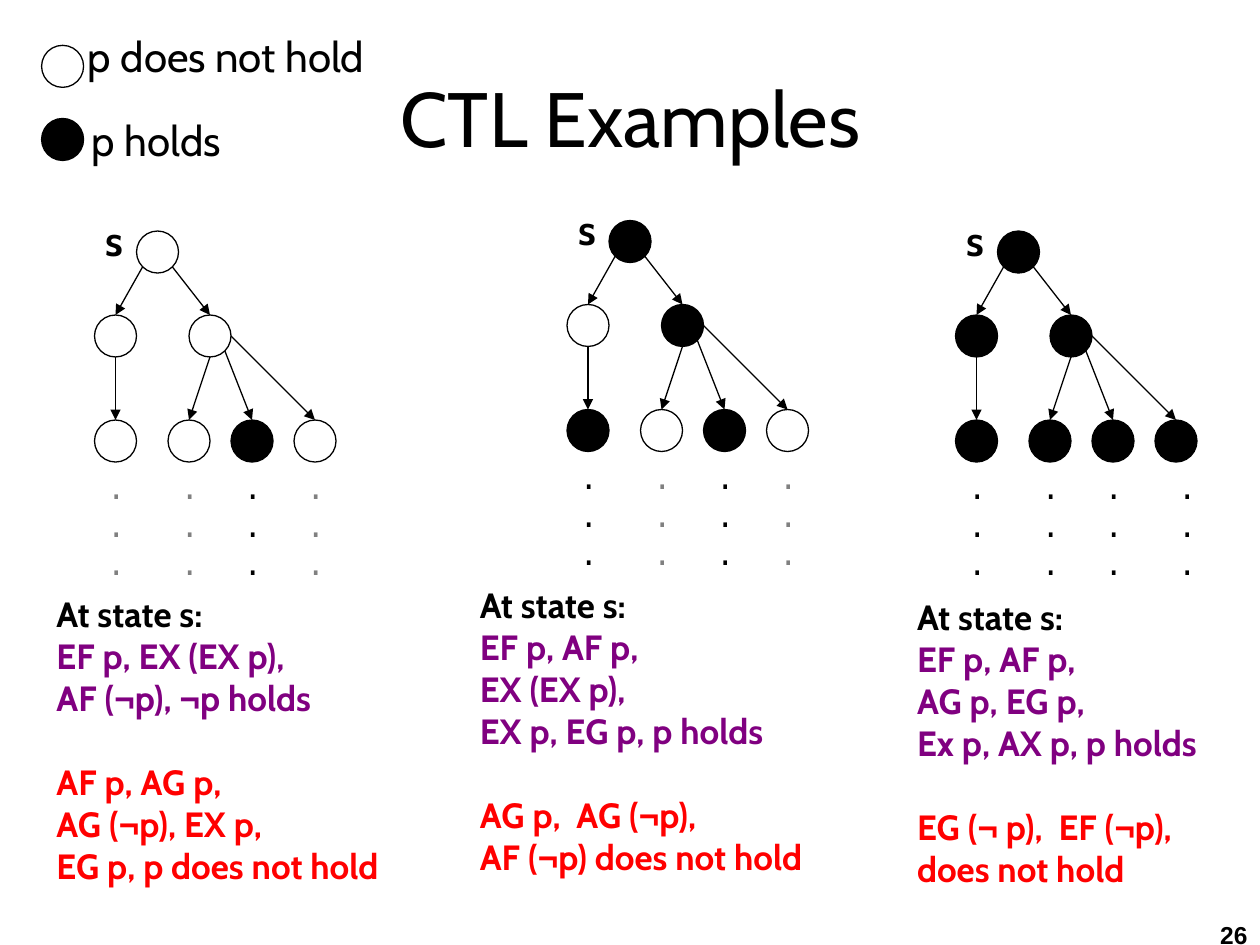
from dataclasses import dataclass
from math import cos, radians, sin

from lxml import etree
from pptx import Presentation
from pptx.dml.color import RGBColor
from pptx.enum.shapes import MSO_CONNECTOR, MSO_SHAPE
from pptx.enum.text import MSO_ANCHOR, MSO_AUTO_SIZE, PP_ALIGN
from pptx.oxml.ns import qn
from pptx.util import Inches, Pt

BLACK = RGBColor(0x00, 0x00, 0x00)
GRAY = RGBColor(0x80, 0x80, 0x80)
PURPLE = RGBColor(0x80, 0x00, 0x80)
RED = RGBColor(0xFF, 0x00, 0x00)
OVAL = MSO_SHAPE.OVAL
STRAIGHT = MSO_CONNECTOR.STRAIGHT
MIDDLE = MSO_ANCHOR.MIDDLE
FIT, NO_FIT = MSO_AUTO_SIZE.SHAPE_TO_FIT_TEXT, MSO_AUTO_SIZE.NONE
LEFT, CENTER, RIGHT = PP_ALIGN.LEFT, PP_ALIGN.CENTER, PP_ALIGN.RIGHT

GRID = 1 / 12  # inches per grid step
NODE = 4       # node diameter in grid steps
TOP = 0        # connection site of a node

# Node places in grid steps from the tree's corner: root, two children, four leaves
NODES = ((4, 0), (0, 8), (9, 8), (0, 18), (7, 18), (13, 18), (19, 18))
# Parent, child, and the angle at which the arrow leaves the parent (clockwise from right)
EDGES = ((0, 1, 135), (0, 2, 45), (1, 3, 90), (2, 4, 90), (2, 5, 45), (2, 6, 0))
FIRST_LEAF = 3


@dataclass
class Style:
    size: float
    color: RGBColor = BLACK
    font: str = "Cabin"
    bold: bool = False
    align: PP_ALIGN = LEFT
    line_spacing: float | None = None


@dataclass
class Tree:
    col: int
    row: int
    holds: tuple[int, ...]
    text_box: tuple[float, float, float, float]
    true_lines: tuple[str, ...]
    false_lines: tuple[str, ...]
    last_dots_shift: int = 0


TREES = (
    Tree(9, 22, (5,), (0.35, 4.65, 3.16, 2.76),
         ("EF p, EX (EX p),", "AF (¬p), ¬p holds"),
         ("AF p, AG p,", "AG (¬p), EX p,", "EG p, p does not hold")),
    Tree(54, 21, (0, 2, 3, 5), (3.71, 4.58, 3.19, 2.76),
         ("EF p, AF p,", "EX (EX p),", "EX p, EG p, p holds"),
         ("AG p,  AG (¬p),", "AF (¬p) does not hold")),
    Tree(91, 22, tuple(range(len(NODES))), (7.18, 4.68, 2.7, 2.76),
         ("EF p, AF p,", "AG p, EG p,", "Ex p, AX p, p holds"),
         ("EG (¬ p),  EF (¬p),", "does not hold"), 1),
)


def add_paragraph(tf, text: str, style: Style, space_before: float = 0) -> None:
    """Append a line to the frame; the negation sign is set in Arial."""
    p = tf.paragraphs[0]
    if p.runs:
        p = tf.add_paragraph()
    p.alignment = style.align
    p.space_before = Pt(space_before)
    if style.line_spacing:
        p.line_spacing = Pt(style.line_spacing)
    for part in text.replace("¬", "\n¬\n").split("\n"):
        if part:
            r = p.add_run()
            r.text = part
            r.font.name = "Arial" if part == "¬" else style.font
            r.font.size = Pt(style.size)
            r.font.bold = style.bold
            r.font.color.rgb = style.color


def add_text(s, box: tuple[float, float, float, float], lines: tuple[str, ...],
             style: Style, wrap: bool = False):
    tf = s.shapes.add_textbox(*map(Inches, box)).text_frame
    tf.word_wrap = wrap
    tf.auto_size = NO_FIT if wrap else FIT
    for line in lines:
        add_paragraph(tf, line, style)
    return tf


def add_node(s, x: float, y: float, filled: bool):
    size = Inches(NODE * GRID)
    sp = s.shapes.add_shape(OVAL, Inches(x), Inches(y), size, size)
    sp.shadow.inherit = False
    if filled:
        sp.fill.solid()
        sp.fill.fore_color.rgb = BLACK
    else:
        sp.fill.background()
    sp.line.color.rgb = BLACK
    sp.line.width = Pt(0.75)
    return sp


def add_arrow(s, parent, child, angle: float) -> None:
    radius = parent.width / 2
    x = int(parent.left + radius * (1 + cos(radians(angle))))
    y = int(parent.top + radius * (1 + sin(radians(angle))))
    line = s.shapes.add_connector(STRAIGHT, x, y, x, y)
    line.end_connect(child, TOP)
    line.line.color.rgb = BLACK
    line.line.width = Pt(0.75)
    etree.SubElement(line.line._get_or_add_ln(), qn("a:tailEnd"), type="triangle")
    etree.SubElement(line._element.spPr, qn("a:effectLst"))


def add_tree(s, tree: Tree) -> None:
    left, top = tree.col * GRID, tree.row * GRID
    nodes = [add_node(s, left + col * GRID, top + row * GRID, i in tree.holds)
             for i, (col, row) in enumerate(NODES)]
    for parent, child, angle in EDGES:
        add_arrow(s, nodes[parent], nodes[child], angle)

    last = len(NODES) - 1
    for i in range(FIRST_LEAF, len(NODES)):
        col, row = NODES[i]
        shift = tree.last_dots_shift if i == last else 0
        color = BLACK if i in tree.holds else GRAY
        add_text(s, (left + (col + shift) * GRID, top + (row + NODE) * GRID, 0.35, 0.95),
                 (".",) * 3, Style(18, color, "Courier New", line_spacing=21.7))

    add_text(s, (left - 0.01, top - 0.18, 0.36, 0.56), ("s",), Style(24, bold=True))
    tf = add_text(s, tree.text_box, ("At state s:",), Style(20, bold=True))
    for line in tree.true_lines:
        add_paragraph(tf, line, Style(20, PURPLE, bold=True))
    for i, line in enumerate(tree.false_lines):
        add_paragraph(tf, line, Style(20, RED, bold=True), 0 if i else 24)


def main() -> None:
    prs = Presentation()
    prs.slide_width, prs.slide_height = Inches(10), Inches(7.5)
    s = prs.slides.add_slide(prs.slide_layouts[6])

    title = add_text(s, (0.17, 0.3, 9.67, 1.25), ("CTL Examples",),
                     Style(44, align=CENTER), wrap=True)
    title.vertical_anchor = MIDDLE

    add_node(s, 0.33, 0.36, False)
    add_text(s, (0.6, 0.19, 2.64, 0.56), ("p does not hold",), Style(24))
    add_node(s, 0.33, 0.94, True)
    add_text(s, (0.63, 0.86, 1.35, 0.56), ("p holds",), Style(24))

    for tree in TREES:
        add_tree(s, tree)

    add_text(s, (7.83, 7.25, 2.17, 0.34), ("26",),
             Style(14, font="Arial", bold=True, align=RIGHT), wrap=True)
    prs.save("out.pptx")


if __name__ == "__main__":
    main()
